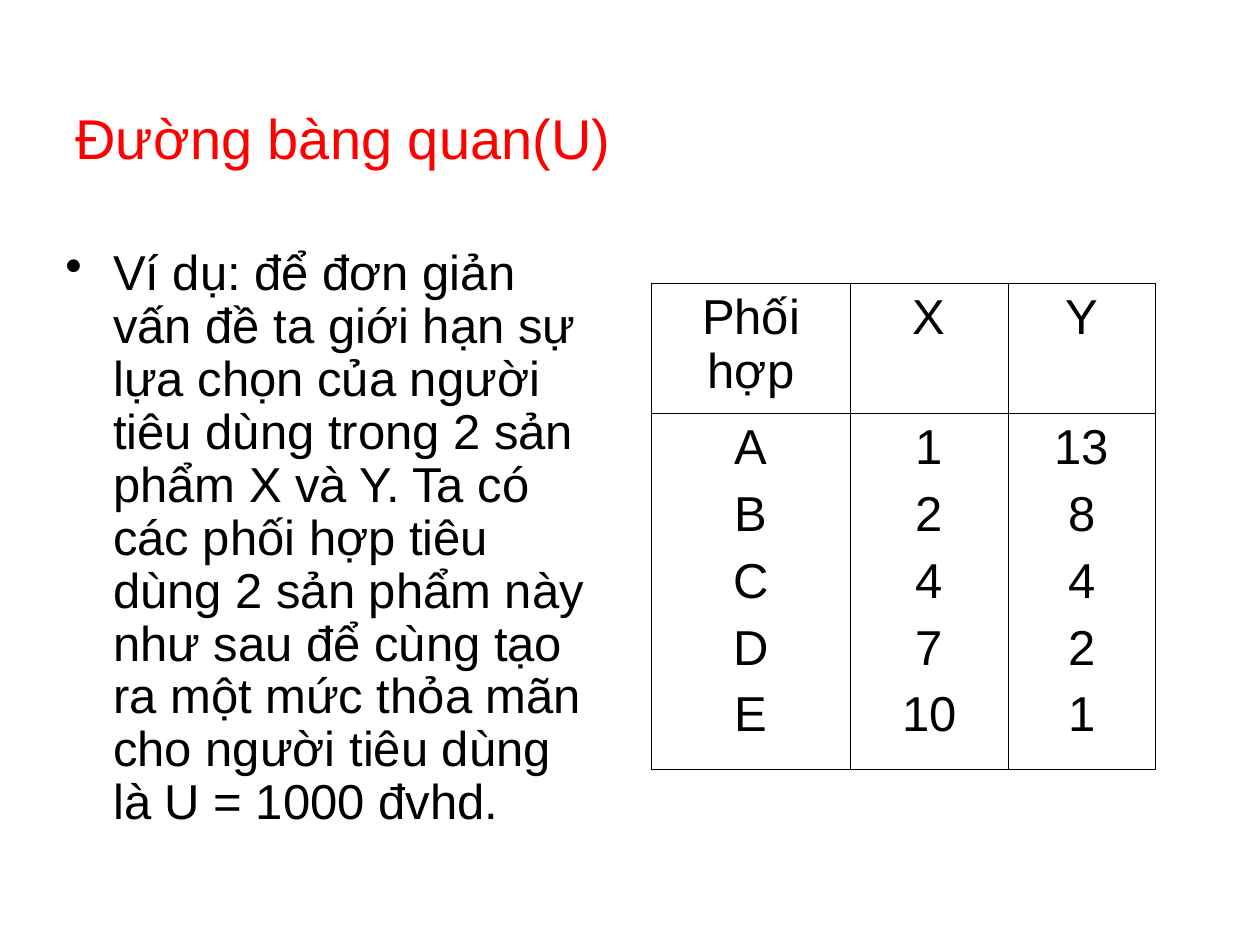
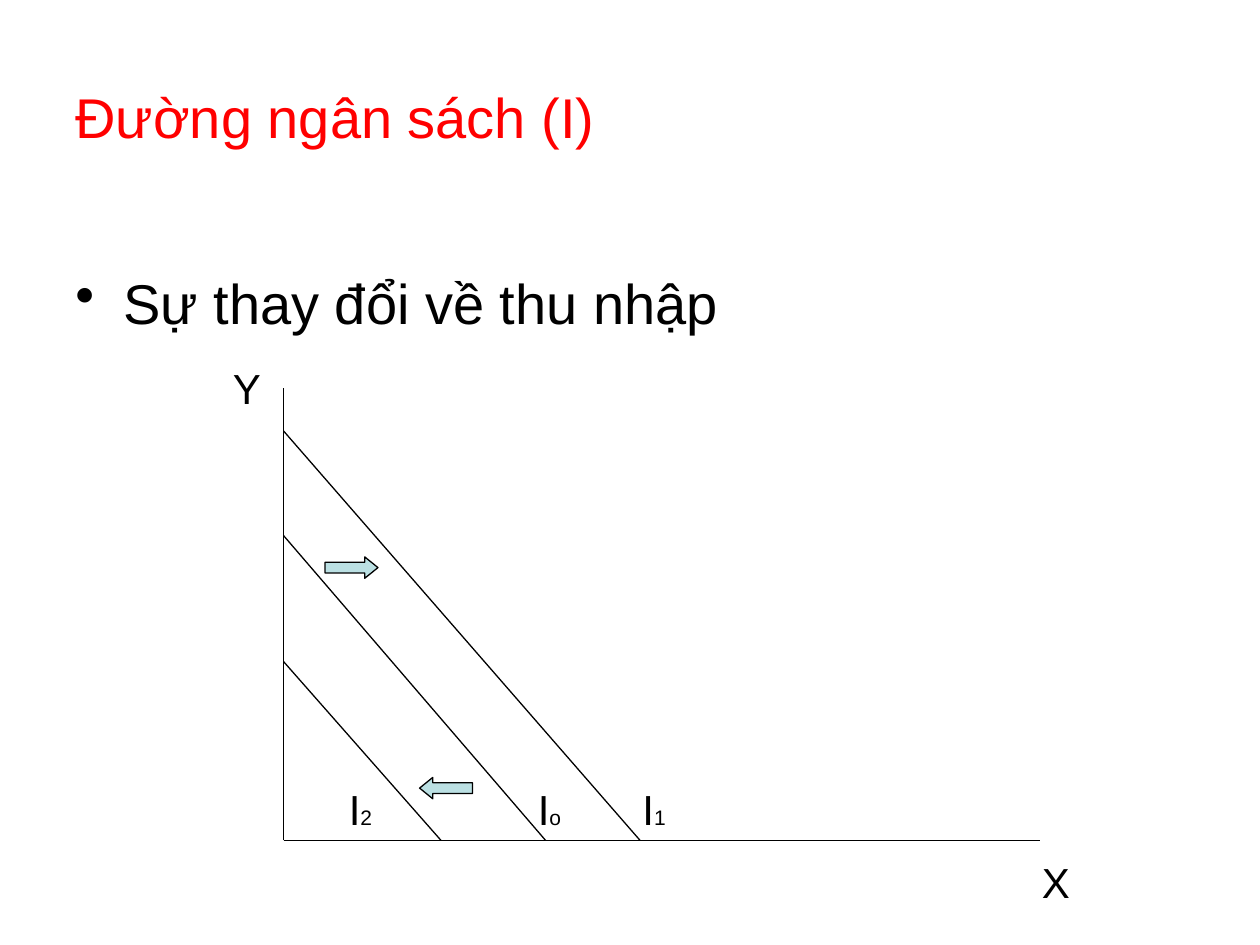
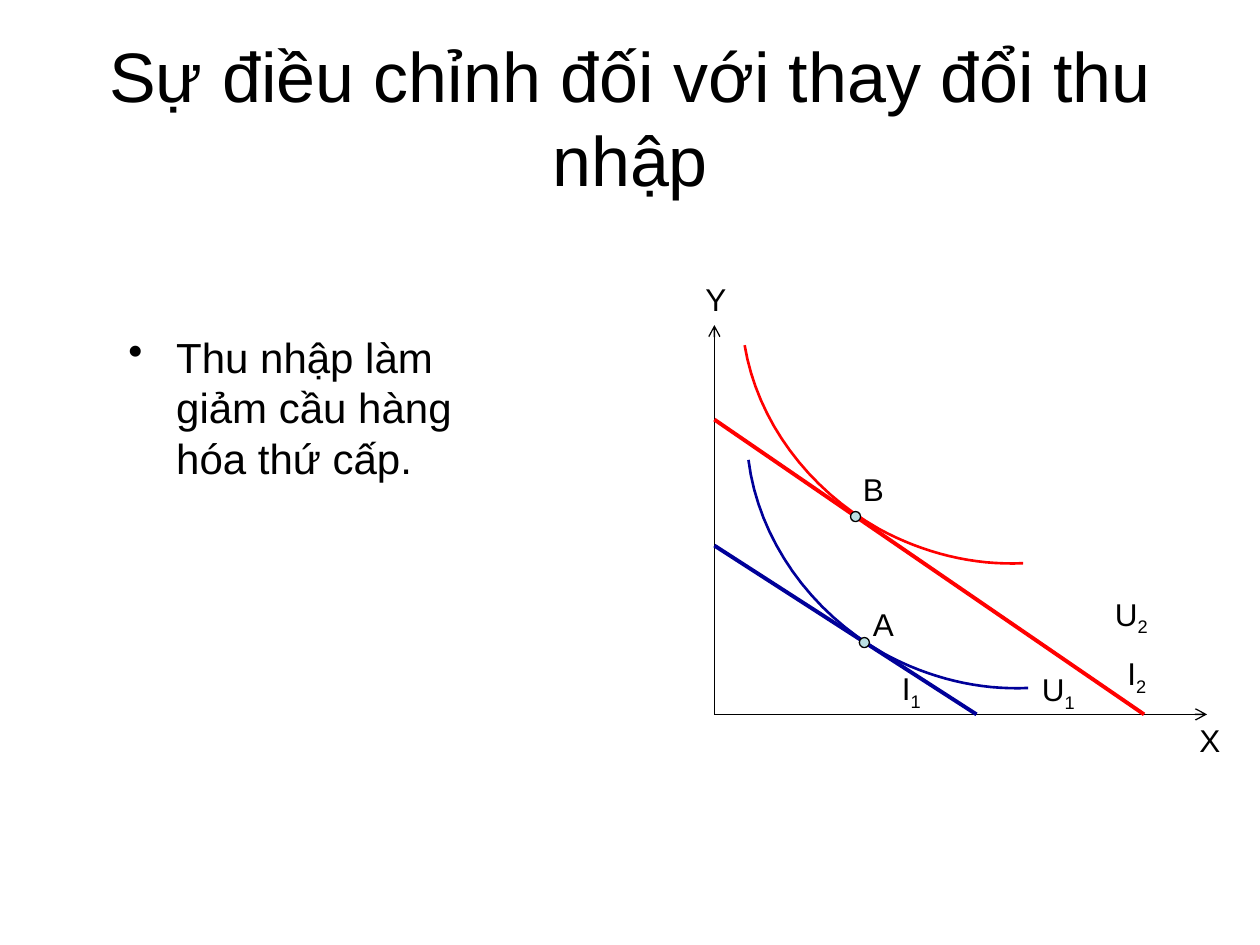
from dataclasses import dataclass
from math import comb

from lxml import etree
from pptx import Presentation
from pptx.dml.color import RGBColor
from pptx.enum.shapes import MSO_CONNECTOR, MSO_SHAPE
from pptx.enum.text import MSO_ANCHOR, PP_ALIGN
from pptx.oxml.ns import qn
from pptx.util import Inches, Pt

LEFT, CENTER = PP_ALIGN.LEFT, PP_ALIGN.CENTER
TOP, MIDDLE = MSO_ANCHOR.TOP, MSO_ANCHOR.MIDDLE
STRAIGHT = MSO_CONNECTOR.STRAIGHT
RIGHT_ARROW, LEFT_ARROW = MSO_SHAPE.RIGHT_ARROW, MSO_SHAPE.LEFT_ARROW
OVAL = MSO_SHAPE.OVAL


@dataclass(frozen=True)
class Theme:
    """Colours, type sizes and line widths of the deck."""
    font: str = "Arial"
    black: str = "000000"
    red: str = "FF0000"
    navy: str = "000099"
    pale: str = "BBE0E3"
    large: int = 40
    head: int = 32
    body: int = 28
    mid: int = 24
    small: int = 18
    tiny: int = 12
    thin: float = 0.75
    curve: float = 1.5
    thick: float = 2.25
    frame: float = 1.08
    grid: float = 0.45


T = Theme()


def paint(color):
    """Turn a hex string into a colour."""
    return RGBColor.from_string(color)


def place(box, x, y, w, h):
    """Return the lengths of a part set off from the corner of a box."""
    return [Inches(v) for v in (box[0] + x, box[1] + y, w, h)]


def write(frame, words, size=T.mid, color=T.black, align=LEFT, gap=0,
          lead=None, bullet=False, sub="", low=None):
    """Fill a text frame, one paragraph per line, with an optional index."""
    frame.word_wrap = True
    for i, line in enumerate(words.split("\n")):
        para = frame.add_paragraph() if i else frame.paragraphs[0]
        para.alignment = align
        para.space_before = Pt(gap)
        if lead:
            para.line_spacing = lead
        if bullet:
            props = para._p.get_or_add_pPr()
            props.set("marL", str(Inches(0.38)))
            props.set("indent", str(Inches(-0.38)))
            etree.SubElement(props, qn("a:buChar")).set("char", "•")
        for part in filter(None, (line, sub)):
            run = para.add_run()
            run.text = part
            run.font.name = T.font
            run.font.size = Pt(size)
            run.font.color.rgb = paint(color)
        if sub and low:
            run.font.size = Pt(low)
        elif sub:
            run.font._element.set("baseline", "-25000")


def text(slide, spot, words, anchor=TOP, **form):
    """Add a text box at a spot."""
    frame = slide.shapes.add_textbox(*spot).text_frame
    frame.vertical_anchor = anchor
    write(frame, words, **form)


def title(slide, box, words, **form):
    """Add the heading of a slide."""
    form = {"size": T.head, "color": T.red, **form}
    text(slide, place(box, 0, 0, *box[2:]), words, anchor=MIDDLE, **form)


def point(slide, box, words, **form):
    """Add a bullet paragraph."""
    text(slide, place(box, 0, 0, *box[2:]), words, bullet=True, **form)


def stroke(slide, box, start, end, color=T.black, width=T.thin, tip=False):
    """Draw a straight line, with an open arrow at its end if asked."""
    ends = place(box, *start, 0, 0)[:2] + place(box, *end, 0, 0)[:2]
    link = slide.shapes.add_connector(STRAIGHT, *ends)
    link.line.color.rgb = paint(color)
    link.line.width = Pt(width)
    if tip:
        etree.SubElement(link.line._get_or_add_ln(), qn("a:tailEnd")).set("type", "arrow")
    etree.SubElement(link._element.spPr, qn("a:effectLst"))


def mark(slide, kind, spot):
    """Add a small pale shape with a black edge."""
    shape = slide.shapes.add_shape(kind, *spot)
    shape.shadow.inherit = False
    shape.fill.solid()
    shape.fill.fore_color.rgb = paint(T.pale)
    shape.line.color.rgb = paint(T.black)
    shape.line.width = Pt(T.thin)
    return shape


def bend(knots, steps=16):
    """Trace points along a chain of cubic curves."""
    trace = [knots[0]]
    for first in range(0, len(knots) - 1, 3):
        part = knots[first:first + 4]
        for step in range(1, steps + 1):
            t = step / steps
            loads = [comb(3, k) * t ** k * (1 - t) ** (3 - k) for k in range(4)]
            trace.append(tuple(sum(w * p[a] for w, p in zip(loads, part))
                               for a in (0, 1)))
    return trace


def curve(slide, box, knots, color):
    """Draw an open curve."""
    spots = [place(box, x, y, 0, 0)[:2] for x, y in bend(knots)]
    pen = slide.shapes.build_freeform(*spots[0], scale=1.0)
    pen.add_line_segments(spots[1:], close=False)
    shape = pen.convert_to_shape()
    shape.shadow.inherit = False
    shape.fill.background()
    shape.line.color.rgb = paint(color)
    shape.line.width = Pt(T.curve)


def axes(slide, box, tip=False):
    """Draw both axes along the left and bottom of a box."""
    wide, high = box[2:]
    for end in ((0, 0), (wide, high)):
        stroke(slide, box, (0, high), end, tip=tip)


def edge(cell, side, width):
    """Draw one border of a table cell."""
    line = etree.SubElement(cell._tc.get_or_add_tcPr(), qn("a:ln" + side))
    line.set("w", str(Pt(width)))
    fill = etree.SubElement(line, qn("a:solidFill"))
    etree.SubElement(fill, qn("a:srgbClr")).set("val", T.black)


def grid(slide, box, rows, widths, heights):
    """Add a table with a heavier outer frame."""
    table = slide.shapes.add_table(len(rows), len(widths),
                                   *place(box, 0, 0, *box[2:])).table
    table.first_row = table.horz_banding = False
    for col, width in zip(table.columns, widths):
        col.width = Inches(width)
    for r, (row, height) in enumerate(zip(rows, heights)):
        table.rows[r].height = Inches(height)
        for c, words in enumerate(row):
            cell = table.cell(r, c)
            outer = {"L": c == 0, "R": c == len(row) - 1,
                     "T": r == 0, "B": r == len(rows) - 1}
            for side, out in outer.items():
                edge(cell, side, T.frame if out else T.grid)
            cell.fill.background()
            write(cell.text_frame, words, size=T.body, align=CENTER, gap=7)


def budget(slide, box):
    """Draw the budget lines that shift with income."""
    axes(slide, box)
    base = box[3]
    for top, foot in ((2.17, 1.25), (1.17, 2.08), (0.34, 2.83)):
        stroke(slide, box, (0, top), (foot, base))
    for kind, x, y in ((RIGHT_ARROW, 0.33, 1.34), (LEFT_ARROW, 1.08, 3.09)):
        arrow = mark(slide, kind, place(box, x, y, 0.42, 0.17))
        arrow.adjustments[1] = 0.62
    for x, sub in ((2.75, "1"), (1.92, "o"), (0.42, "2")):
        text(slide, place(box, x, 3.09, 0.58, 0.5), "I", gap=7.5, sub=sub, low=T.tiny)
    for words, x, y in (("X", 5.92, 3.67), ("Y", -0.5, -0.25)):
        text(slide, place(box, x, y, 0.83, 0.5), words, gap=15)


def choice(slide, box):
    """Draw the best choices before and after income grows."""
    axes(slide, box, tip=True)
    base = box[3]
    stroke(slide, box, (0, 1.75), (2.08, base), T.navy, T.thick)
    stroke(slide, box, (0, 0.75), (3.41, base), T.red, T.thick)
    curve(slide, box, [(2.45, 1.89), (2.06, 1.91), (1.66, 1.81), (1.31, 1.62),
                       (0.74, 1.3), (0.34, 0.76), (0.24, 0.16)], T.red)
    curve(slide, box, [(2.49, 2.88), (2.1, 2.9), (1.7, 2.8), (1.35, 2.61),
                       (0.76, 2.28), (0.35, 1.7), (0.27, 1.07)], T.navy)
    for x, y in ((1.08, 1.48), (1.15, 2.48)):
        mark(slide, OVAL, place(box, x, y, 0.08, 0.08))
    tags = (("U", "2", 3.08, 2.09), ("U", "1", 2.5, 2.69),
            ("I", "2", 3.18, 2.56), ("I", "1", 1.39, 2.68),
            ("A", "", 1.16, 2.17), ("B", "", 1.08, 1.1),
            ("Y", "", -0.17, -0.41), ("X", "", 3.75, 3.09))
    for words, sub, x, y in tags:
        text(slide, place(box, x, y, 0.5, 0.4), words, size=T.small, gap=11.2, sub=sub)


def main():
    """Build the three slides."""
    deck = Presentation()
    deck.slide_width, deck.slide_height = Inches(10), Inches(7.5)
    blank = deck.slide_layouts[6]
    first, second, third = (deck.slides.add_slide(blank) for _ in range(3))
    top = (0.5, 0.3, 9, 1.25)

    title(first, (0.5, 0.42, 9.08, 1.33), "Đường bàng quan(U)")
    point(first, (0.42, 1.92, 4.42, 4.95),
          "Ví dụ: để đơn giản vấn đề ta giới hạn sự lựa chọn của người tiêu dùng "
          "trong 2 sản phẩm X và Y. Ta có các phối hợp tiêu dùng 2 sản phẩm này "
          "như sau để cùng tạo ra một mức thỏa mãn cho người tiêu dùng là "
          "U = 1000 đvhd.", size=T.body, gap=7, lead=0.9)
    grid(first, (5.17, 2.25, 4, 3.84),
         [("Phối hợp", "X", "Y"),
          ("A\nB\nC\nD\nE", "1\n2\n4\n7\n10", "13\n8\n4\n2\n1")],
         (1.58, 1.25, 1.17), (1.03, 2.81))

    title(second, top, "Đường ngân sách (I)")
    point(second, (0.5, 2.08, 9, 0.83), "Sự thay đổi về thu nhập", size=T.head, gap=8)
    budget(second, (2.25, 3.08, 6, 3.59))

    title(third, top, "Sự điều chỉnh đối với thay đổi thu nhập",
          size=T.large, color=T.black, align=CENTER)
    point(third, (0.92, 2.58, 3.25, 1.5), "Thu nhập làm giảm cầu hàng hóa thứ cấp.", gap=6)
    choice(third, (5.67, 2.58, 3.91, 3.09))
    deck.save("out.pptx")


if __name__ == "__main__":
    main()
